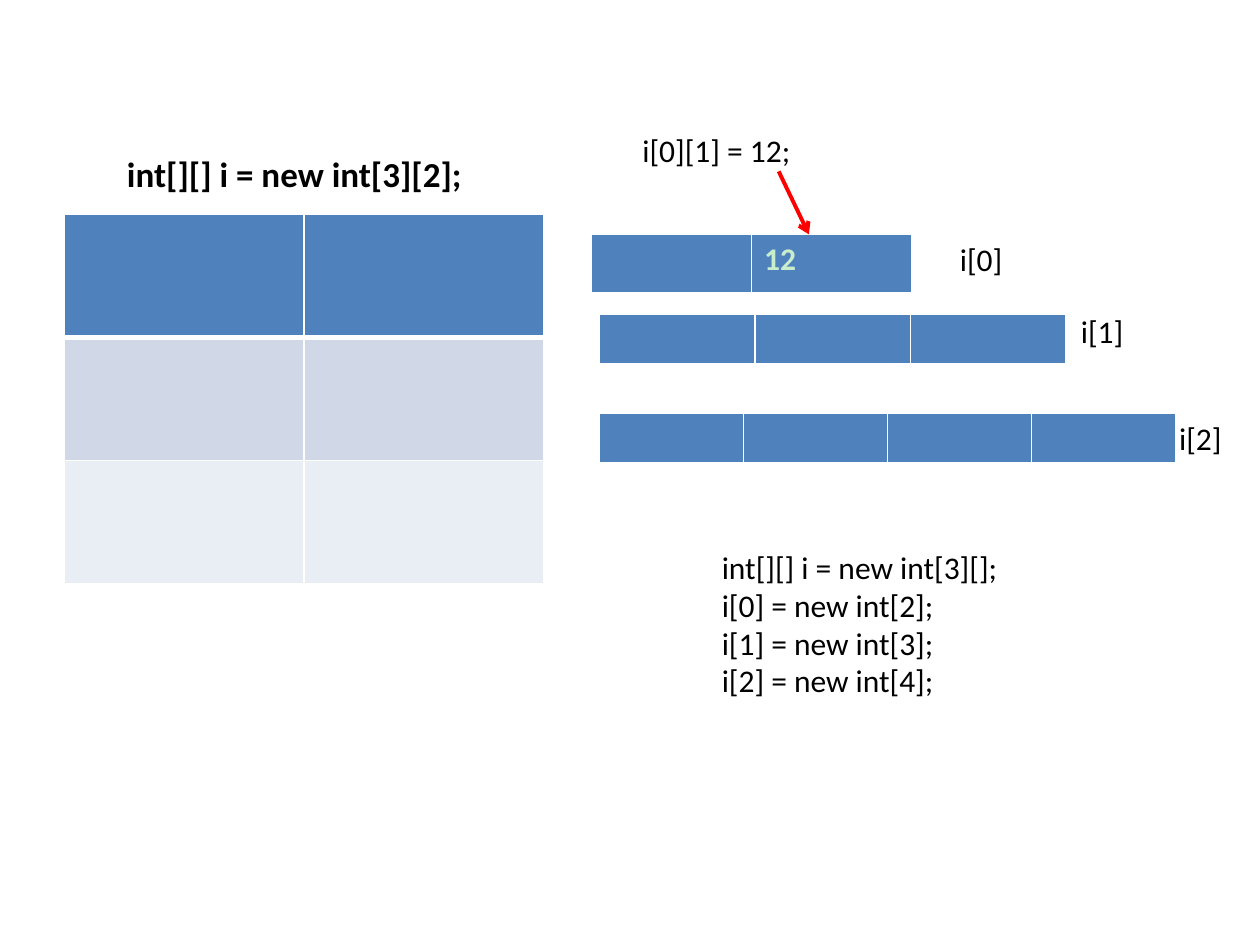
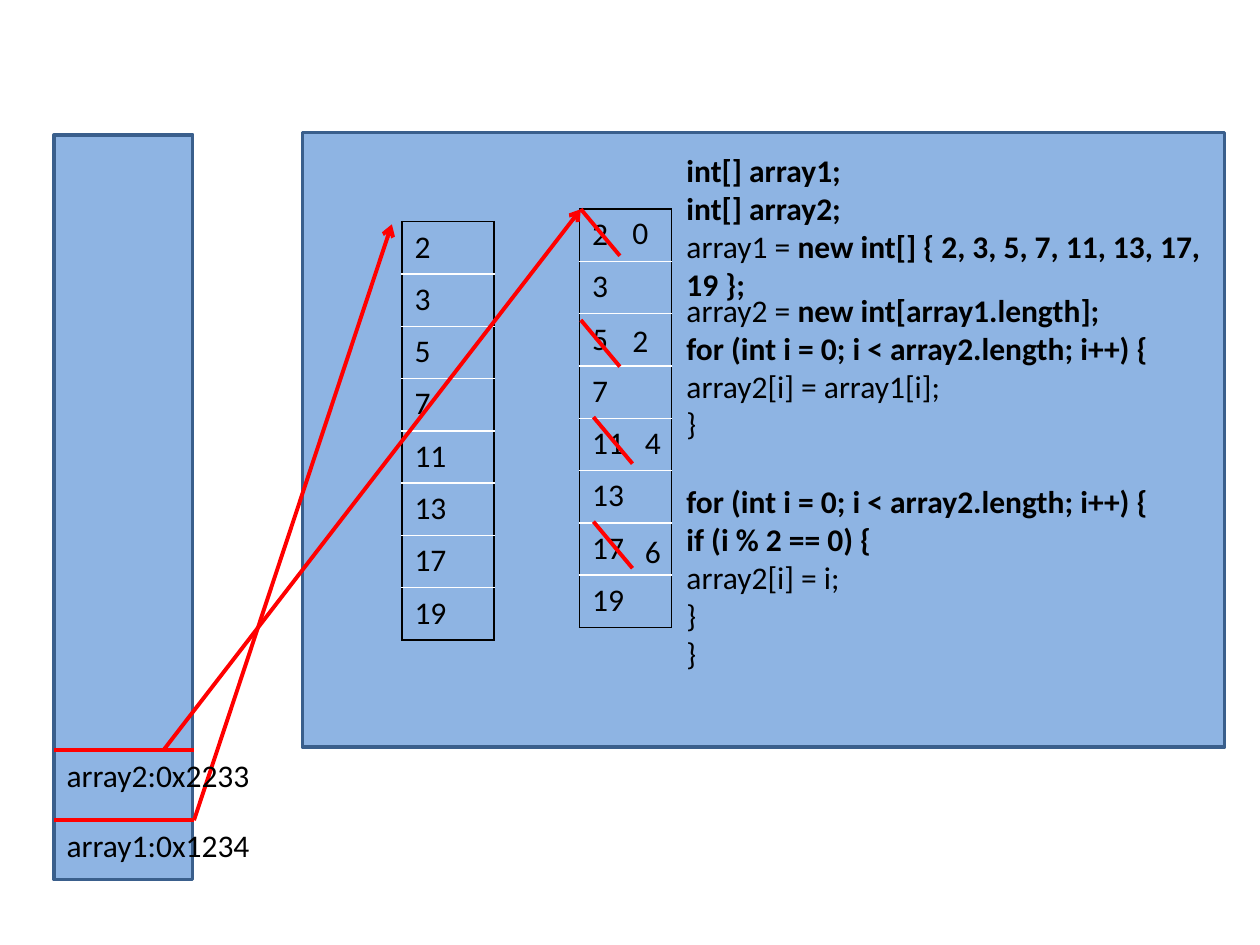
from pptx import Presentation
from pptx.dml.color import RGBColor
from pptx.enum.shapes import MSO_CONNECTOR, MSO_SHAPE
from pptx.oxml.xmlchemy import OxmlElement
from pptx.util import Inches, Pt

LINE = MSO_CONNECTOR.STRAIGHT
RECT = MSO_SHAPE.RECTANGLE
WHITE = RGBColor(0xFF, 0xFF, 0xFF)
BLACK = RGBColor(0, 0, 0)
RED = RGBColor(0xFF, 0, 0)
MINT = RGBColor(0xC7, 0xED, 0xCC)
BLUE = RGBColor(0x4F, 0x81, 0xBD)
MIST = RGBColor(0xD0, 0xD8, 0xE8)
PALE = RGBColor(0xE9, 0xED, 0xF4)
SKY = RGBColor(0x8E, 0xB4, 0xE3)
NAVY = RGBColor(0x3A, 0x5F, 0x8C)
BASE = {"name": "Calibri", "size": Pt(18), "bold": False}


def write(frame, lines, color=BLACK, **extra):
    for row, parts in enumerate(lines):
        para = frame.paragraphs[0] if row == 0 else frame.add_paragraph()
        for bold, text in enumerate(parts):
            if text:
                run = para.add_run()
                run.text = text
                for key, value in (BASE | {"bold": bool(bold)} | extra).items():
                    setattr(run.font, key, value)
                run.font.color.rgb = color


def grid(slide, box, data, fills, edge, ink):
    frame = slide.shapes.add_table(len(data), len(data[0]), *map(Inches, box))
    table = frame.table
    table.first_row = table.horz_banding = False
    for row, texts in enumerate(data):
        for col, text in enumerate(texts):
            cell = table.cell(row, col)
            if fills:
                cell.fill.solid()
                cell.fill.fore_color.rgb = fills[row]
            else:
                cell.fill.background()
            if text:
                write(cell.text_frame, [("", text) if fills else (text, "")], ink)
            sides = ["lnL", "lnR", "lnT", "lnB"]
            if row:
                sides.remove("lnT")
            for spot, side in enumerate(sides):
                width = 3 if fills and row == 0 and side == "lnB" else 1
                line = OxmlElement(f"a:{side}")
                line.set("w", str(Pt(width)))
                fill = OxmlElement("a:solidFill")
                color = OxmlElement("a:srgbClr")
                color.set("val", str(edge))
                fill.append(color)
                line.append(fill)
                cell._tc.get_or_add_tcPr().insert(spot, line)


deck = Presentation()
deck.slide_width, deck.slide_height = Inches(10), Inches(7.5)
blank = deck.slide_layouts[6]
first, second = [deck.slides.add_slide(blank) for _ in range(2)]
for slide in (first, second):
    slide.background.fill.solid()
    slide.background.fill.fore_color.rgb = WHITE

grid(first, (0.51, 1.7, 3.81, 2.93), [["", ""]] * 3, [BLUE, MIST, PALE], WHITE, MINT)
for box, texts in [
    ((4.69, 1.86, 2.55, 0.48), ["", "12"]),
    ((4.76, 2.49, 3.7, 0.39), [""] * 3),
    ((4.76, 3.28, 4.57, 0.39), [""] * 4),
]:
    grid(first, box, [texts], [BLUE], WHITE, MINT)

for box in [(0.43, 1.07, 1.1, 5.91), (2.4, 1.05, 7.32, 4.88)]:
    area = second.shapes.add_shape(RECT, *map(Inches, box))
    area.shadow.inherit = False
    area.fill.solid()
    area.fill.fore_color.rgb = SKY
    area.line.color.rgb = NAVY
    area.line.width = Pt(2)

primes = [[str(num)] for num in (2, 3, 5, 7, 11, 13, 17, 19)]
for left, top in [(3.19, 1.76), (4.6, 1.66)]:
    grid(second, (left, top, 0.73, 3.32), primes, None, BLACK, BLACK)

marks = [(4.61, 1.66), (4.61, 2.54), (4.71, 3.31), (4.71, 4.14)]
lines = [
    (first, (6.18, 1.36, 6.42, 1.86), True),
    (second, (0.43, 6.51, 1.54, 6.51), False),
    (second, (1.54, 6.51, 3.11, 1.78), True),
    (second, (0.43, 5.95, 1.54, 5.95), False),
    (second, (1.3, 5.95, 4.61, 1.66), True),
]
lines += [(second, (x, y, x + 0.31, y + 0.37), False) for x, y in marks]
for slide, ends, arrow in lines:
    link = slide.shapes.add_connector(LINE, *map(Inches, ends))
    link.line.color.rgb = RED
    link.line.width = Pt(2.25)
    if arrow:
        head = OxmlElement("a:tailEnd")
        head.set("type", "arrow")
        link.line._get_or_add_ln().append(head)
    link._element.spPr.append(OxmlElement("a:effectLst"))

loop = ("", "for (int i = 0; i < array2.length; i++) {")
notes = [
    (first, (0.91, 1.16, 3.94, 0.44), [("", "int[][] i = new int[3][2];")]),
    (first, (7.52, 1.86, 1.73, 0.4), [("i[0]", "")]),
    (first, (8.48, 2.43, 0.77, 0.4), [("i[1]", "")]),
    (first, (9.26, 3.28, 0.77, 0.4), [("i[2]", "")]),
    (first, (5, 0.99, 4.02, 0.4), [("i[0][1] = 12;", "")]),
    (first, (5.63, 4.3, 3.78, 1.31), [
        ("int[][] i = new int[3][];", ""),
        *[(f"i[{num}] = new int[{num + 2}];", "") for num in range(3)],
    ]),
    (second, (5.35, 1.15, 4.76, 1.01), [
        ("", "int[] array1;"),
        ("", "int[] array2;"),
        ("array1 = ", "new int[] { 2, 3, 5, 7, 11, 13, 17, 19 };"),
    ]),
    (second, (5.35, 2.26, 5, 1.31), [
        ("array2 = ", "new int[array1.length];"),
        loop,
        ("array2[i] = array1[i];", ""),
        ("}", ""),
    ]),
    (second, (5.35, 3.78, 3.94, 1.62), [
        loop,
        ("", "if (i % 2 == 0) {"),
        ("array2[i] = i;", ""),
        ("}", ""),
        ("}", ""),
    ]),
    (second, (0.43, 6.51, 1.89, 0.4), [("array1:0x1234", "")]),
    (second, (0.43, 5.95, 1.73, 0.4), [("array2:0x2233", "")]),
]
spots = [(4.92, 1.64), (4.92, 2.5), (5.02, 3.31), (5.02, 4.17)]
for num, (left, top) in enumerate(spots):
    notes.append((second, (left, top, 0.47, 0.4), [(str(2 * num), "")]))
for slide, box, text in notes:
    frame = slide.shapes.add_textbox(*map(Inches, box)).text_frame
    frame.word_wrap = True
    size = Pt(20) if box[3] == 0.44 else Pt(18)
    write(frame, text, size=size)

deck.save("out.pptx")
